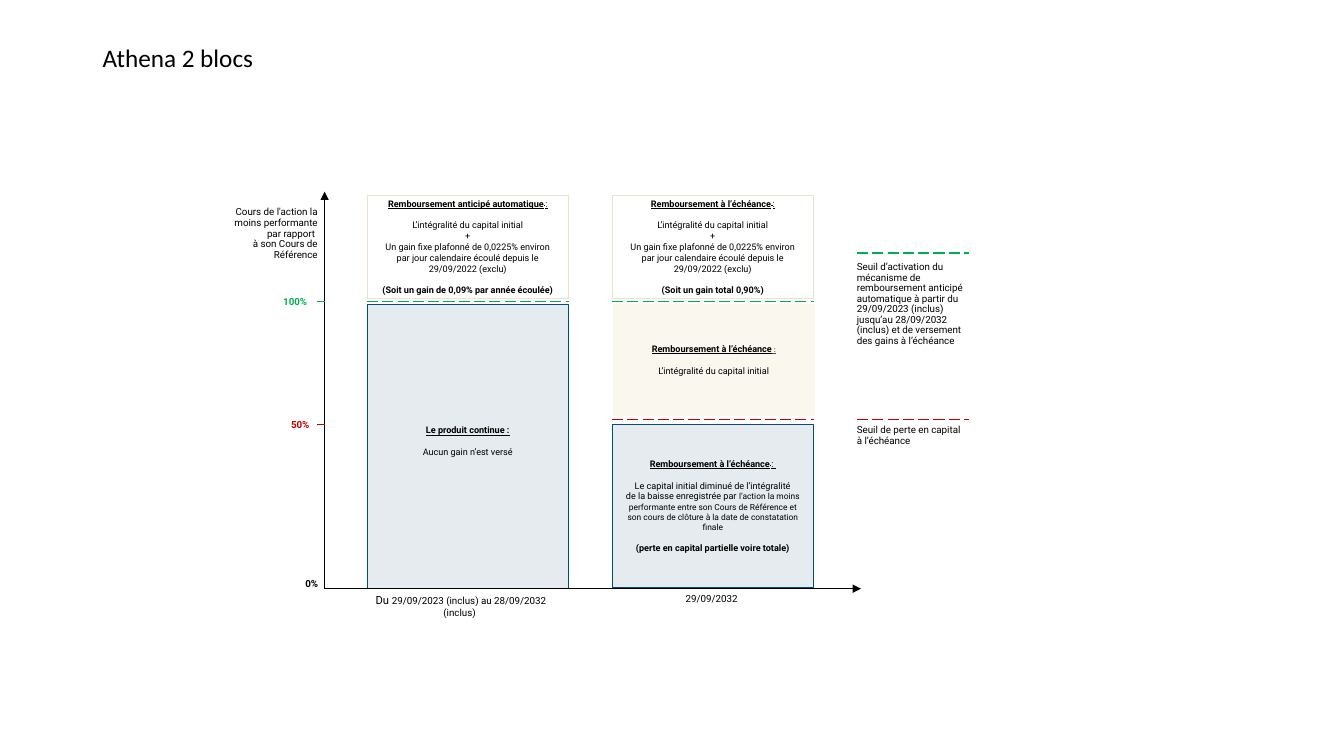
"""Build the Athena two-block payoff slide."""
import dataclasses

import pptx
import pptx.dml.color
import pptx.enum.dml
import pptx.enum.shapes
import pptx.enum.text
import pptx.oxml
import pptx.util
from pptx.util import Inches

ALIGN = pptx.enum.text.PP_ALIGN


@dataclasses.dataclass(frozen=True)
class Theme:
    """Colours, fonts and type sizes of the slide."""
    black: str = "000000"
    white: str = "FFFFFF"
    green: str = "00B050"
    red: str = "C00000"
    slate: str = "44546A"
    navy: str = "004F74"
    mist: str = "E5EBEF"
    sand: str = "EBE4CC"
    cream: str = "F9F7EE"
    font: str = "Roboto"
    title_font: str = "Calibri"
    title: float = 18
    lead: float = 8
    label: float = 7
    body: float = 6.5
    small: float = 6
    tiny: float = 5
    gap: float = 7.6


T = Theme()
EARLY_X, FINAL_X, BLOCK_W = 3.64, 6.07, 2
TOP_Y, TOP_H, GAIN_Y, LOSS_Y = 1.94, 1.02, 2.99, 4.16
AXIS_X, AXIS_Y = 3.22, 5.84
LEGEND_X, LEGEND_W = 8.5, 1.11


def rgb(value):
    """Return a colour from its hex code."""
    return pptx.dml.color.RGBColor.from_string(value)


def add_run(p, text, size=T.label, color=T.black, font=T.font, bold=False,
            underline=False, raised=False):
    """Add one formatted run to a paragraph."""
    r = p.add_run()
    r.text = text
    r.font.size = pptx.util.Pt(size)
    r.font.name = font
    r.font.bold = bold
    r.font.underline = underline
    r.font.color.rgb = rgb(color)
    if raised:
        r._r.get_or_add_rPr().set("baseline", "30000")


def fill_text(tf, paragraphs, align, insets, spacing=None):
    """Write paragraphs, each a gap before it and a list of formatted runs."""
    tf.word_wrap = True
    tf.margin_left, tf.margin_top, tf.margin_right, tf.margin_bottom = map(Inches, insets)
    for i, (gap, runs) in enumerate(paragraphs):
        p = tf.paragraphs[0] if i == 0 else tf.add_paragraph()
        p.alignment = align
        if gap:
            p.space_before = pptx.util.Pt(gap)
        if spacing:
            p.line_spacing = spacing
        for text, style in runs:
            add_run(p, text, **style)


def add_block(s, box, fill, line, paragraphs, side=0.12, bottom=0.05):
    """Add a bordered rectangle with centred text."""
    sp = s.shapes.add_shape(pptx.enum.shapes.MSO_SHAPE.RECTANGLE, *map(Inches, box))
    sp.shadow.inherit = False
    sp.fill.solid()
    sp.fill.fore_color.rgb = rgb(fill)
    sp.line.color.rgb = rgb(line)
    sp.line.width = pptx.util.Pt(0.25)
    sp.text_frame.vertical_anchor = pptx.enum.text.MSO_ANCHOR.MIDDLE
    fill_text(sp.text_frame, paragraphs, ALIGN.CENTER, (side, 0.05, side, bottom))


def add_label(s, box, *paragraphs, align=ALIGN.CENTER, left=0.1, right=0.1, spacing=None):
    """Add a text box that grows with its text."""
    tf = s.shapes.add_textbox(*map(Inches, box)).text_frame
    fill_text(tf, [(0, runs) for runs in paragraphs], align, (left, 0.05, right, 0.05), spacing)
    tf.auto_size = pptx.enum.text.MSO_AUTO_SIZE.SHAPE_TO_FIT_TEXT


def add_line(s, x1, y1, x2, y2, color, width=1, dashed=False, arrow=False):
    """Add a straight line, dashed or with an arrowhead when asked."""
    c = s.shapes.add_connector(pptx.enum.shapes.MSO_CONNECTOR.STRAIGHT,
                               *map(Inches, (x1, y1, x2, y2)))
    c.line.color.rgb = rgb(color)
    c.line.width = pptx.util.Pt(width)
    if dashed:
        c.line.dash_style = pptx.enum.dml.MSO_LINE.LONG_DASH
    if arrow:
        tail = pptx.oxml.parse_xml(
            '<a:tailEnd xmlns:a="http://schemas.openxmlformats.org/drawingml/2006/main"'
            ' type="triangle"/>')
        c.line._get_or_add_ln().append(tail)
    c._element.spPr.append(pptx.oxml.parse_xml(
        '<a:effectLst xmlns:a="http://schemas.openxmlformats.org/drawingml/2006/main"/>'))


def body(text, gap=0, **style):
    """Return a paragraph of block text."""
    return gap, [(text, dict(size=T.body, **style))]


def heading(text, *tail):
    """Return an underlined heading followed by a raised space and a colon."""
    under = dict(size=T.body, underline=True)
    return 0, [(text, dict(under, bold=True)), (" ", dict(under, raised=True)),
               (":", under), *tail]


def add_gain_block(s, x, title, total):
    """Add the upper block of a column, with its gain."""
    add_block(s, (x, TOP_Y, BLOCK_W, TOP_H), T.white, T.sand, [
        heading(title),
        body("L’intégralité du capital initial", T.gap),
        body("+"),
        body("Un gain fixe plafonné de 0,0225% environ par jour calendaire écoulé"
             " depuis le 29/09/2022 (exclu)"),
        body(total, T.gap, bold=True)])


def add_blocks(s):
    """Add the blocks of both columns."""
    at_maturity = "Remboursement à l’échéance"
    strong = dict(size=T.body, bold=True, underline=True)
    add_block(s, (FINAL_X, 4.21, BLOCK_W, 1.62), T.mist, T.navy, [
        heading(at_maturity, (" ", strong)),
        (T.gap, [("Le capital initial diminué de l’intégralité de\u00a0la baisse enregistrée par ",
                  dict(size=T.body)),
                 ("l’action la moins performante entre son Cours de Référence et son cours"
                  " de clôture à la date de constatation finale", dict(size=T.small))]),
        body("(perte en capital partielle voire totale)", T.gap, bold=True)])
    add_block(s, (EARLY_X, 3.02, BLOCK_W, 2.82), T.mist, T.navy, [
        (0, [("Le produit continue :", strong)]),
        body("Aucun gain n’est versé", T.gap)], bottom=0.16)
    add_block(s, (FINAL_X + 0.01, 3.02, BLOCK_W, 1.1), T.cream, T.cream, [
        (0, [(at_maturity, strong), (" :", dict(strong, size=T.tiny, color=T.slate))]),
        body("L’intégralité du capital initial", T.gap)], side=0.1)
    add_gain_block(s, FINAL_X, at_maturity, "(Soit un gain total 0,90%)")
    add_gain_block(s, EARLY_X, "Remboursement anticipé automatique",
                   "(Soit un gain de 0,09% par année écoulée)")


def add_axes(s):
    """Add the axes, their ticks and their labels."""
    add_line(s, AXIS_X, AXIS_Y, AXIS_X, 1.9, T.black, 0.75, arrow=True)
    add_line(s, AXIS_X, AXIS_Y, 8.54, AXIS_Y, T.black, 0.75, arrow=True)
    for y, x, text, color in ((2.99, 2.77, "100% ", T.green), (4.21, 2.82, "50% ", T.red)):
        add_line(s, AXIS_X - 0.08, y, AXIS_X, y, color)
        add_label(s, (x, y - 0.11, 0.34, 0.22), [(text, dict(color=color, bold=True))],
                  left=0, right=0)
    add_label(s, (2.93, 5.68, 0.42, 0.22), [("0%", dict(bold=True))], left=0)
    add_label(s, (2.32, 2.01, 0.83, 0.53),
              [("Cours de l'action la moins performante par rapport ", {})],
              [("à son Cours de Référence", {})],
              align=ALIGN.RIGHT, left=0, right=0, spacing=0.9)
    add_label(s, (3.51, AXIS_Y, 2.12, 0.24), [
        ("Du ", dict(size=T.lead)), ("29/09/2023 (inclus) au 28/09/2032 (inclus) ", {})])
    add_label(s, (FINAL_X, 5.83, BLOCK_W, 0.22), [("29/09/2032 ", {})])


def add_thresholds(s):
    """Add the threshold lines and their legend."""
    for x, y, width, color in ((EARLY_X, GAIN_Y, BLOCK_W, T.green),
                               (FINAL_X, GAIN_Y, BLOCK_W, T.green),
                               (FINAL_X, LOSS_Y, BLOCK_W, T.red),
                               (LEGEND_X, 2.51, LEGEND_W, T.green),
                               (LEGEND_X, LOSS_Y, LEGEND_W, T.red)):
        add_line(s, x, y, x + width, y, color, dashed=True)
    for box, text in (
            ((8.4, 2.55, 1.35, 0.95),
             "Seuil d’activation du mécanisme de remboursement anticipé automatique à partir du"
             " 29/09/2023 (inclus) jusqu’au 28/09/2032 (inclus) et de versement des gains"
             " à l’échéance"),
            ((8.4, 4.17, 1.29, 0.31), "Seuil de perte en capital à\u00a0l’échéance")):
        add_label(s, box, [(text, {})], align=ALIGN.LEFT, spacing=0.9)


def main():
    """Build and save the slide."""
    prs = pptx.Presentation()
    prs.slide_width, prs.slide_height = Inches(13.33), Inches(7.5)
    s = prs.slides.add_slide(prs.slide_layouts[6])
    add_blocks(s)
    add_axes(s)
    add_thresholds(s)
    add_label(s, (0.92, 0.37, 6.22, 0.4),
              [("Athena 2 blocs", dict(size=T.title, font=T.title_font))], align=ALIGN.LEFT)
    prs.save("out.pptx")


if __name__ == "__main__":
    main()
